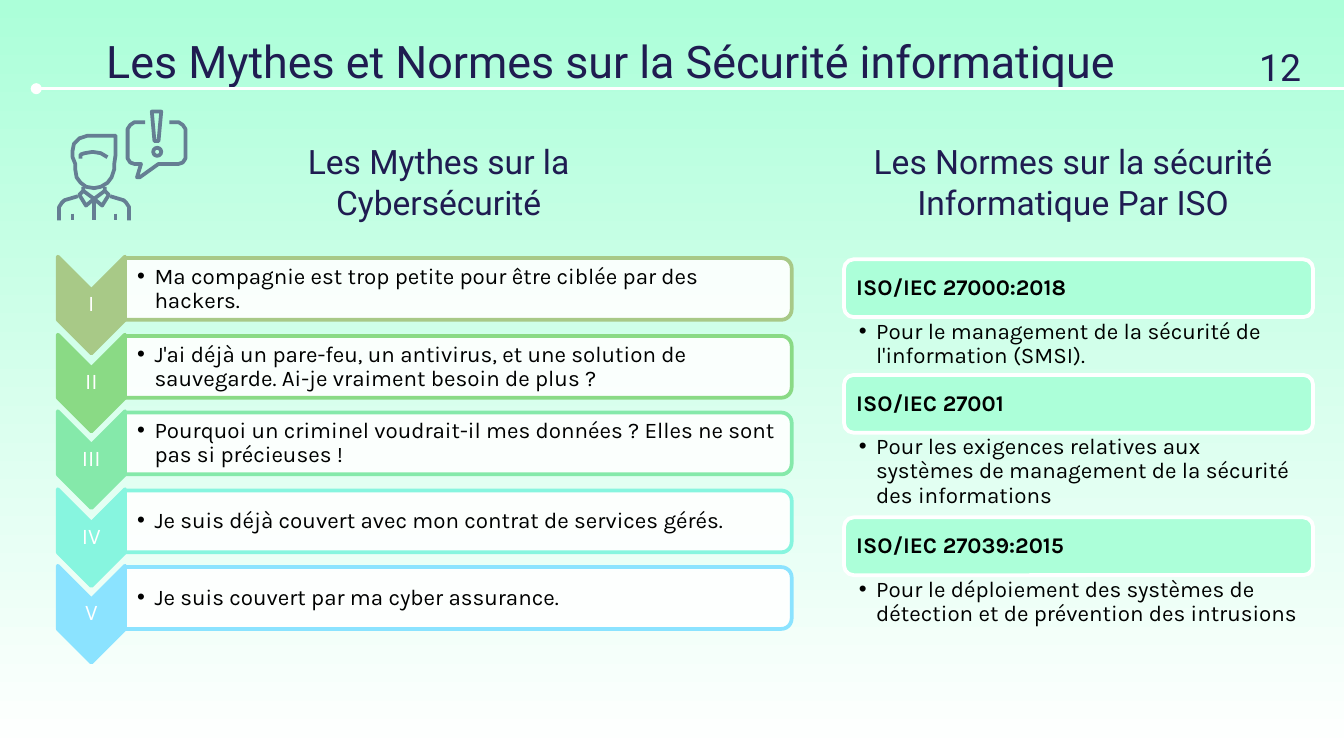
from lxml.etree import SubElement
from pptx import Presentation
from pptx.dml.color import RGBColor
from pptx.enum.shapes import MSO_CONNECTOR, MSO_SHAPE
from pptx.enum.text import MSO_ANCHOR, PP_ALIGN
from pptx.oxml.ns import qn
from pptx.util import Pt

PX = 9144  # 100 px to the inch
NAVY, MINT, WHITE, BLACK, SLATE = "1F1C51", "ACFFD9", "FFFFFF", "000000", "657E93"

TITLE = "Les Mythes et Normes sur la Sécurité informatique"
HEADS = [
    ("Les Mythes sur la Cybersécurité", 175, 303),
    ("Les Normes sur la sécurité Informatique Par ISO", 628, 341),
]
MYTHS = [
    ("I", "A8C987", "Ma compagnie est trop petite pour être ciblée par des hackers."),
    ("II", "8ADA85", "J'ai déjà un pare-feu, un antivirus, et une solution de sauvegarde. "
                     "Ai-je vraiment besoin de plus ?"),
    ("III", "85E9AA", "Pourquoi un criminel voudrait-il mes données ? "
                      "Elles ne sont pas si précieuses !"),
    ("IV", "87F5DF", "Je suis déjà couvert avec mon contrat de services gérés."),
    ("V", "8BE3FF", "Je suis couvert par ma cyber assurance."),
]
NORMS = [
    ("ISO/IEC 27000:2018", 43,
     "Pour le management de la sécurité de l'information (SMSI)."),
    ("ISO/IEC 27001", 63,
     "Pour les exigences relatives aux systèmes de management de la sécurité des informations"),
    ("ISO/IEC 27039:2015", 63,
     "Pour le déploiement des systèmes de détection et de prévention des intrusions"),
]

# Icon strokes: points, closed or not
HEAD = [(86, 101), (86, 115), (85, 122), (85, 126), (83, 132), (80, 136), (75, 139),
        (70, 140), (64, 139), (60, 136), (57, 132), (56, 126), (56, 122), (54, 117),
        (54, 112), (55, 107), (59, 103), (65, 101)]
BUBBLE = [(108, 91), (100, 91), (97, 93), (95, 96), (95, 118), (97, 121), (100, 122),
          (105, 122), (102, 132), (104, 132), (118, 122), (133, 122), (136, 121),
          (138, 118), (138, 96), (136, 93), (133, 91), (126, 91)]
HALF = [  # left half of the bust, mirrored about x = 70
    [(44, 164), (44, 154), (46, 151), (48, 149), (58, 146)],
    [(62, 139), (62, 142), (59, 145), (64, 153), (70, 148)],
    [(62, 142), (70, 148)],
    [(54, 159), (54, 164)],
]
STROKES = [
    (HEAD, True),
    (BUBBLE, False),
    ([(60, 118), (60, 115), (63, 114), (69, 113), (75, 114), (80, 117)], False),
    ([(70, 148), (70, 164)], False),
    ([(113, 83), (120, 83), (118, 105), (115, 105)], True),
]
STROKES += [(half, False) for half in HALF]
STROKES += [([(140 - x, y) for x, y in half], False) for half in HALF]


def rgb(code):
    return RGBColor.from_string(code)


def box(*at):
    return [v * PX for v in at]


def style(shape, fill, line, width=2):
    shape.shadow.inherit = False
    if fill:
        shape.fill.solid()
        shape.fill.fore_color.rgb = rgb(fill)
    else:
        shape.fill.background()
    shape.line.color.rgb = rgb(line)
    shape.line.width = Pt(width)


def draw(kind, at, fill, line, turn=0):
    shape = slide.shapes.add_shape(kind, *box(*at))
    style(shape, fill, line)
    shape.rotation = turn
    return shape


def write(shape, text, size, face, color, inset, anchor=MSO_ANCHOR.TOP,
          align=PP_ALIGN.LEFT, space=1, bold=False, bullet=False):
    frame = shape.text_frame
    frame.text = text
    frame.word_wrap = True
    frame.vertical_anchor = anchor
    (frame.margin_left, frame.margin_top,
     frame.margin_right, frame.margin_bottom) = box(*inset)
    para = frame.paragraphs[0]
    para.alignment = align
    para.line_spacing = space
    if bullet:
        props = para._p.get_or_add_pPr()
        props.set("marL", str(13 * PX))
        props.set("indent", str(-13 * PX))
        SubElement(props, qn("a:buFont")).set("typeface", "Arial")
        SubElement(props, qn("a:buChar")).set("char", "•")
    font = para.runs[0].font
    font.size, font.name, font.bold = Pt(size), face, bold
    font.color.rgb = rgb(color)


def label(at, *args, **opts):
    write(slide.shapes.add_textbox(*box(*at)), *args, **opts)


deck = Presentation()
deck.slide_width = 1000 * PX
deck.slide_height = deck.slide_width * 9 // 16
slide = deck.slides.add_slide(deck.slide_layouts[5])

# Background
back = slide.background.fill
back.gradient()
back.gradient_angle = 90
for stop, color in zip(back.gradient_stops, (WHITE, MINT)):
    stop.color.rgb = rgb(color)

# Title, rule and page number
rule = slide.shapes.add_connector(MSO_CONNECTOR.STRAIGHT, *box(27, 66, 1000, 66))
rule.line.color.rgb = rgb(WHITE)
rule.line.width = Pt(1.5)
SubElement(rule.line._get_or_add_ln(), qn("a:headEnd")).set("type", "oval")
SubElement(rule._element.spPr, qn("a:effectLst"))
title = slide.shapes.title
title.left, title.top, title.width, title.height = box(69, 15, 783, 59)
write(title, TITLE, 24, "Roboto", NAVY, (10, 10, 10, 10))
label((927, 14, 55, 62), "12", 20, "Roboto", NAVY, (10, 10, 10, 10), MSO_ANCHOR.BOTTOM)

# Column headings
for text, left, width in HEADS:
    label((left, 116, width, 59), text, 18, "Roboto", NAVY, (10, 10, 10, 10),
          MSO_ANCHOR.BOTTOM, PP_ALIGN.CENTER)

# Myths: numbered chevrons and bars
for i, (num, color, text) in enumerate(MYTHS):
    step = (i * 115 + 1) // 2
    draw(MSO_SHAPE.CHEVRON, (32, 202 + step, 72, 50), color, color, 90)
    label((43, 216 + step, 50, 21), num, 12, "Karla", WHITE, (1, 1, 1, 1),
          MSO_ANCHOR.MIDDLE, PP_ALIGN.CENTER, 0.9)
    bar = draw(MSO_SHAPE.ROUND_2_SAME_RECTANGLE, (318, step - 33, 46, 496),
               WHITE, color, 90)
    tint = bar._element.spPr.find(qn("a:solidFill"))[0]
    SubElement(tint, qn("a:alpha")).set("val", "90000")
    label((93, 194 + step, 494, 42), text, 12, "Karla", BLACK, (9, 1, 1, 1),
          MSO_ANCHOR.MIDDLE, space=0.9, bullet=True)

# Norms: stacked headers with details
top = 193
for name, height, text in NORMS:
    card = draw(MSO_SHAPE.ROUNDED_RECTANGLE, (628, top, 349, 43), MINT, WHITE)
    write(card, name, 12, "Karla", BLACK, (7, 7, 7, 7), MSO_ANCHOR.MIDDLE,
          space=0.9, bold=True)
    label((628, top + 43, 349, height), text, 12, "Karla", BLACK, (11, 2, 9, 2),
          space=0.9, bullet=True)
    top += 43 + height

# Icon: worried person with an alert bubble
for points, closed in STROKES:
    pen = slide.shapes.build_freeform(*points[0], scale=PX)
    pen.add_line_segments(points[1:], close=closed)
    style(pen.convert_to_shape(), None, SLATE)
draw(MSO_SHAPE.OVAL, (114, 110, 6, 6), None, SLATE)

deck.save("out.pptx")
